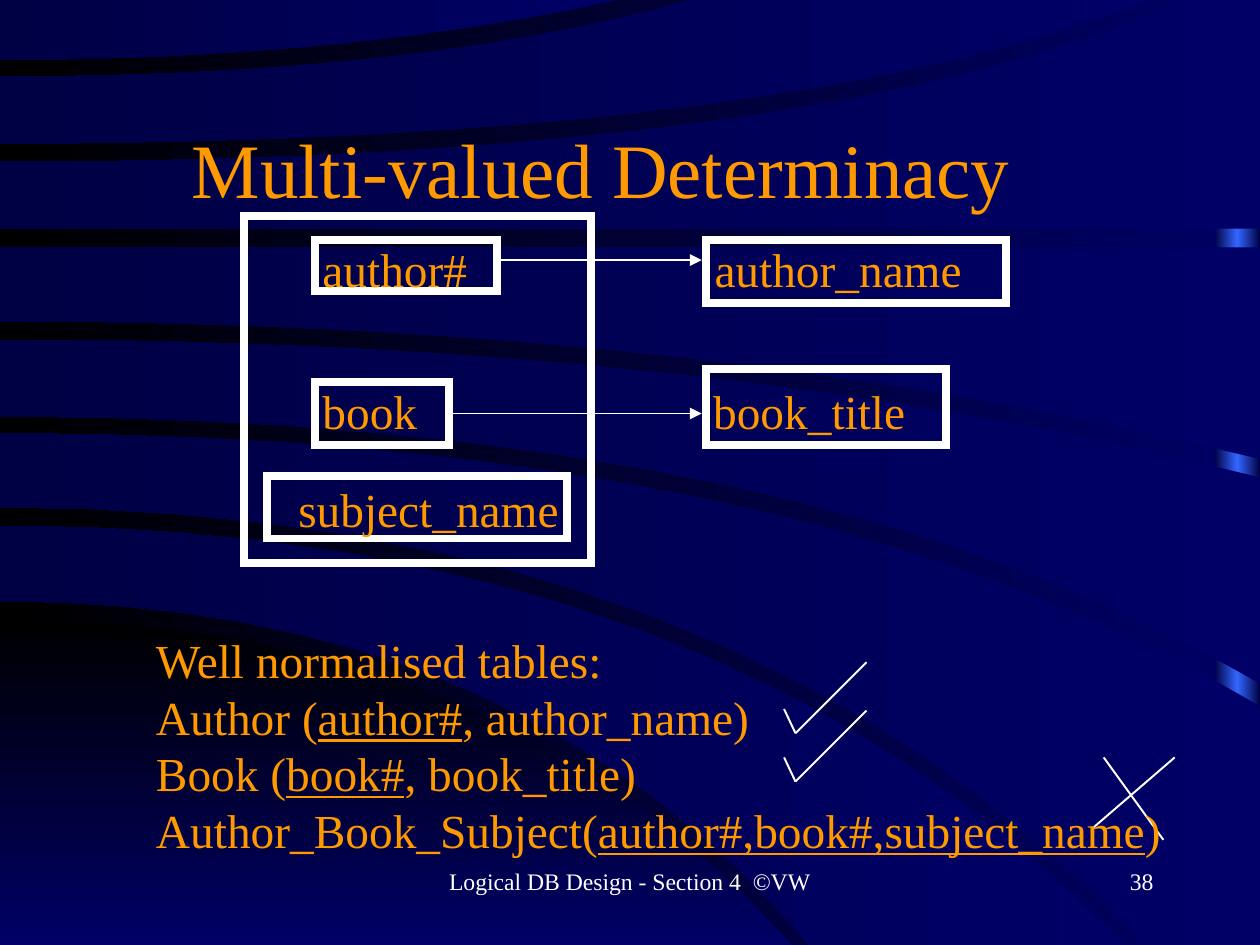
from copy import deepcopy
from typing import NamedTuple
from lxml.etree import SubElement
from pptx import Presentation
from pptx.dml.color import RGBColor as Rgb
from pptx.enum.shapes import MSO_CONNECTOR as Link, MSO_SHAPE as Kind
from pptx.enum.text import MSO_ANCHOR as Anchor, PP_ALIGN as Align
from pptx.oxml.ns import qn
from pptx.util import Inches, Pt

FONT = "Times New Roman"
WHITE, GOLD = "FFFFFF", "FF9900"
NAVY, DUSK, BLACK, BLUE = "000066", "000044", "000000", "3366FF"
WIDE, HIGH = 8.87, 6.65
STEPS = 16


class Edge(NamedTuple):
    start: float
    x: float
    y: float
    bend: float = 0.64


class Band(NamedTuple):
    upper: Edge
    lower: Edge
    first: str = NAVY
    last: str = DUSK
    angle: int = 180


class Box(NamedTuple):
    x: float
    y: float
    w: float
    h: float
    text: str = ""
    left: float = 0
    top: float = 0


class Line(NamedTuple):
    x1: float
    y1: float
    x2: float
    y2: float
    arrow: bool = False


class Note(NamedTuple):
    x: float
    w: float
    text: str
    align: Align


BANDS = [
    Band(Edge(4.36, 5.57, HIGH), Edge(HIGH, 5.57, HIGH), BLACK, NAVY, 270),
    Band(Edge(3.7, 7.92, HIGH), Edge(4.23, 5.7, HIGH)),
    Band(Edge(3.05, WIDE, 4.97), Edge(3.57, 8.07, HIGH)),
    Band(Edge(2.39, WIDE, 3.36, 0.57), Edge(2.93, WIDE, 4.81)),
    Band(Edge(1.74, WIDE, 1.74), Edge(2.26, WIDE, 3.23, 0.56)),
    Band(Edge(1.14, 8.34, 0, 0.7), Edge(1.61, WIDE, 1.61)),
    Band(Edge(0.54, 4.86, 0, 0.61), Edge(1.01, 8.1, 0, 0.68)),
    Band(Edge(0, 4.34, 0), Edge(0.42, 4.34, 0, 0.56)),
]

BOXES = [
    Box(1.72, 1.52, 2.44, 2.44),
    Box(2.22, 1.69, 1.28, 0.36, "author#", 0.05),
    Box(2.22, 2.69, 0.94, 0.44, "book", 0.05),
    Box(4.97, 1.69, 2.11, 0.44, "author_name", 0.06),
    Box(4.97, 2.6, 1.69, 0.53, "book_title", 0.05, 0.09),
    Box(1.88, 3.35, 2.11, 0.44, "subject_name", 0.22, 0.03),
]

ARROWS = [Line(x, y, 4.94, y, True) for x, y in ((3.52, 1.83), (3.19, 2.91))]
CROSS = [Line(7.77, 5.33, 8.19, 5.91), Line(8.27, 5.33, 7.69, 5.83)]
TICKS = [line for y in (4.99, 5.33)
         for line in (Line(5.52, y, 5.6, y + 0.17), Line(5.6, y + 0.17, 6.1, y - 0.33))]

TABLES = [
    ("Well normalised tables:", "", ""),
    ("Author (", "author#", ", author_name)"),
    ("Book (", "book#", ", book_title)"),
    ("Author_Book_Subject(", "author#,book#,subject_name", ")"),
]

NOTES = [
    Note(3.03, 2.81, "Logical DB Design - Section 4  ©VW", Align.CENTER),
    Note(6.36, 1.85, "38", Align.RIGHT),
]


def tint(color, code: str) -> None:
    color.rgb = Rgb.from_string(code)


def style(run, size: float, code: str) -> None:
    run.font.name, run.font.size = FONT, Pt(size)
    tint(run.font.color, code)


def blend(fill, first: str, last: str, angle: int = 180) -> None:
    fill.gradient()
    fill.gradient_angle = angle
    for stop, code, spot in zip(fill.gradient_stops, (first, last), (0, 1)):
        tint(stop.color, code)
        stop.position = spot


def pad(frame, left: float, top: float, right: float) -> None:
    frame.margin_left, frame.margin_right = Inches(left), Inches(right)
    frame.margin_top = frame.margin_bottom = Inches(top)
    frame.word_wrap = True


def place(x: float, y: float, w: float, h: float) -> list:
    return [Inches(n) for n in (x, y, w, h)]


def trace(edge: Edge) -> list:
    dots = []
    for step in range(STEPS + 1):
        t = step / STEPS
        x = edge.x * (2 * t * (1 - t) * edge.bend + t * t)
        dots.append((x, edge.start + (edge.y - edge.start) * t * t))
    return dots


def draw_bar(shapes) -> None:
    bar = shapes.add_shape(Kind.RECTANGLE, *place(8.55, 0, 0.32, HIGH))
    bar.shadow.inherit = False
    bar.line.fill.background()
    blend(bar.fill, DUSK, DUSK)
    stops = bar._element.spPr.find(".//" + qn("a:gsLst"))
    stops.insert(1, deepcopy(stops[0]))
    middle = bar.fill.gradient_stops[1]
    middle.position = 0.5
    tint(middle.color, BLUE)


def draw_band(shapes, band: Band) -> None:
    ends = (band.upper, band.lower)
    inner = [edge for edge in ends if edge.x < WIDE]
    corner = [(WIDE, inner[0].y)] if len(inner) == 1 else []
    outline = trace(band.upper) + corner + trace(band.lower)[::-1]
    dots = [(Inches(x), Inches(y)) for x, y in outline]
    pen = shapes.build_freeform(*dots[0])
    pen.add_line_segments(dots[1:], close=True)
    shape = pen.convert_to_shape()
    shape.shadow.inherit = False
    shape.line.fill.background()
    blend(shape.fill, band.first, band.last, band.angle)


def draw_box(shapes, box: Box) -> None:
    shape = shapes.add_shape(Kind.RECTANGLE, *place(*box[:4]))
    shape.shadow.inherit = False
    shape.fill.background()
    tint(shape.line.color, WHITE)
    shape.line.width = Pt(4)
    SubElement(shape._element.spPr.find(qn("a:ln")), qn("a:miter"), lim="800000")
    if box.text:
        frame = shape.text_frame
        pad(frame, box.left, box.top, 0)
        frame.vertical_anchor = Anchor.TOP
        frame.text = box.text
        frame.paragraphs[0].alignment = Align.LEFT
        style(frame.paragraphs[0].runs[0], 24, GOLD)


def draw_line(shapes, line: Line) -> None:
    link = shapes.add_connector(Link.STRAIGHT, *place(*line[:4]))
    tint(link.line.color, WHITE)
    link.line.width = Pt(1)
    props = link._element.spPr
    if line.arrow:
        SubElement(props.find(qn("a:ln")), qn("a:tailEnd"), type="triangle")
    SubElement(props, qn("a:effectLst"))


def draw_note(shapes, note: Note) -> None:
    frame = shapes.add_textbox(*place(note.x, 6.06, note.w, 0.44)).text_frame
    pad(frame, 0.09, 0.04, 0.09)
    frame.text = note.text
    frame.paragraphs[0].alignment = note.align
    style(frame.paragraphs[0].runs[0], 12, WHITE)


def draw_tables(shapes) -> None:
    frame = shapes.add_textbox(*place(1, 4.39, 7.4, 1.7)).text_frame
    pad(frame, 0.1, 0.05, 0.1)
    for row, parts in enumerate(TABLES):
        para = frame.add_paragraph() if row else frame.paragraphs[0]
        para.line_spacing = Pt(28.8)
        for text in filter(None, parts):
            run = para.add_run()
            run.text = text
            style(run, 24, GOLD)
            run.font.underline = text == parts[1]


def draw_title(title) -> None:
    title.left, title.top, title.width, title.height = place(0.91, 0.77, 6.64, 0.82)
    frame = title.text_frame
    frame.text = "Multi-valued Determinacy"
    pad(frame, 0.09, 0.05, 0.09)
    frame.vertical_anchor = Anchor.MIDDLE
    frame.paragraphs[0].alignment = Align.CENTER
    style(frame.paragraphs[0].runs[0], 39, GOLD)


deck = Presentation()
deck.slide_width, deck.slide_height = Inches(WIDE), Inches(HIGH)
slide = deck.slides.add_slide(deck.slide_layouts[5])
blend(slide.background.fill, NAVY, BLACK)
draw_bar(slide.shapes)
for draw, parts in ((draw_band, BANDS), (draw_box, BOXES),
                    (draw_line, ARROWS + TICKS + CROSS), (draw_note, NOTES)):
    for part in parts:
        draw(slide.shapes, part)
draw_tables(slide.shapes)
title = slide.shapes.title
draw_title(title)
slide.shapes._spTree.append(title._element)
deck.save("out.pptx")
